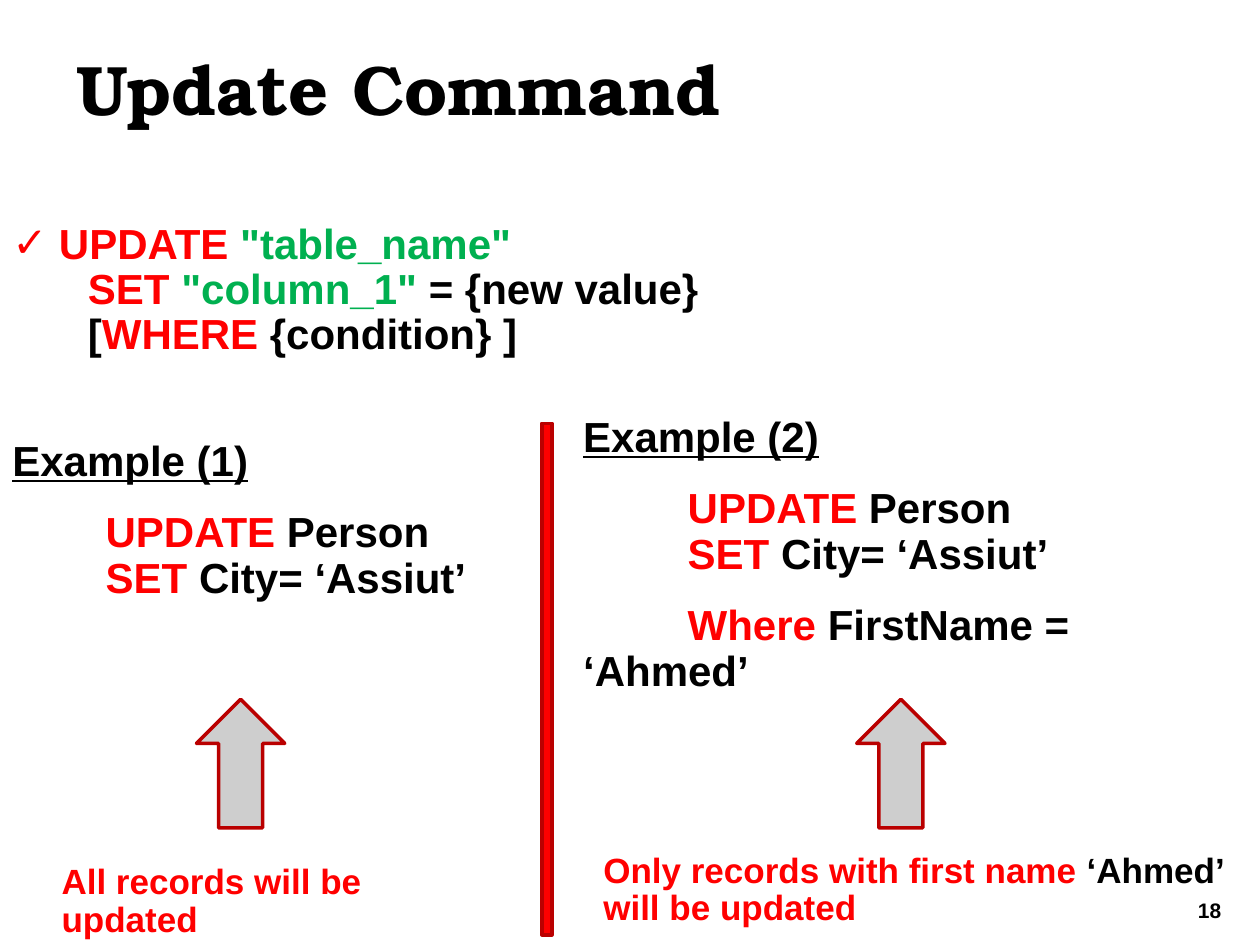
from pptx import Presentation
from pptx.dml.color import RGBColor
from pptx.enum.shapes import MSO_SHAPE
from pptx.enum.text import MSO_ANCHOR, MSO_AUTO_SIZE, PP_ALIGN
from pptx.util import Inches, Pt
from lxml import etree

TOP, MIDDLE = MSO_ANCHOR.TOP, MSO_ANCHOR.MIDDLE
LEFT, CENTER = PP_ALIGN.LEFT, PP_ALIGN.CENTER
NO_AUTOFIT = MSO_AUTO_SIZE.NONE
RECTANGLE, UP_ARROW = MSO_SHAPE.RECTANGLE, MSO_SHAPE.UP_ARROW
BLACK, RED, GREEN = "000000", "FF0000", "00B050"
BULLET_RED, DARK_RED, GREY = "FD0000", "BA0000", "CECECE"
A = "http://schemas.openxmlformats.org/drawingml/2006/main"


def rgb(value):
    return RGBColor.from_string(value)


def write(s, paragraphs, size, before, font="Arial", anchor=TOP, align=LEFT):
    """Each paragraph is (left margin, first-line indent, [(text, colour), ...])."""
    tf = s.text_frame
    tf.word_wrap = True
    tf.auto_size = NO_AUTOFIT
    tf.vertical_anchor = anchor
    for i, (margin, indent, runs) in enumerate(paragraphs):
        p = tf.paragraphs[0] if i == 0 else tf.add_paragraph()
        p.alignment = align
        p.line_spacing = 0.9
        p.space_before = Pt(before)
        pPr = p._p.get_or_add_pPr()
        pPr.set("marL", str(Inches(margin)))
        pPr.set("indent", str(Inches(indent)))
        for text, color in runs:
            if text == "\n":
                p.add_line_break()
                continue
            r = p.add_run()
            r.text = text
            r.font.name = font
            r.font.size = Pt(size)
            r.font.bold = True
            r.font.color.rgb = rgb(color)
    return tf


prs = Presentation()
prs.slide_width, prs.slide_height = Inches(10), Inches(7.5)
slide = prs.slides.add_slide(prs.slide_layouts[5])
shapes = slide.shapes
BREAK = ("\n", BLACK)

# Title
title = shapes.title
title.left, title.top = Inches(0.51), Inches(0.39)
title.width, title.height = Inches(9.49), Inches(0.7)
write(title, [(0, 0, [("Update Command", BLACK)])], 40, 25, font="TeX Gyre Bonum")

# Slide number
number = shapes.add_textbox(Inches(9.35), Inches(7.1), Inches(0.5), Inches(0.28))
write(number, [(0, 0, [("18", BLACK)])], 12, 7.5, align=CENTER)

# Syntax of the command
syntax = shapes.add_textbox(Inches(0), Inches(1.72), Inches(10), Inches(1.75))
tf = write(syntax, [
    (0.37, -0.37, [("UPDATE ", RED), ('"table_name"', GREEN)]),
    (0.6, 0, [("SET ", RED), ('"column_1" ', GREEN), ("= {new value}", BLACK), BREAK,
              ("[", BLACK), ("WHERE", RED), (" {condition} ]", BLACK)]),
], 24, 15)
tf.paragraphs[1].space_before = Pt(0)
pPr = tf.paragraphs[0]._p.get_or_add_pPr()
bullet_color = etree.SubElement(pPr, f"{{{A}}}buClr")
etree.SubElement(bullet_color, f"{{{A}}}srgbClr", val=BULLET_RED)
etree.SubElement(pPr, f"{{{A}}}buFont", typeface="Arial")
etree.SubElement(pPr, f"{{{A}}}buChar", char="✓")

# Examples
where = [("Where", RED), (" FirstName = ‘Ahmed’", BLACK)]
examples = [
    ("Example (1)", (0, 3.44, 3.91, 1.39), 0.74, []),
    ("Example (2)", (4.53, 3.25, 5.39, 2.32), 0.83, [(0, 0.83, where)]),
]
for heading, box, indent, condition in examples:
    example = shapes.add_textbox(*map(Inches, box))
    update = [("UPDATE", RED), (" Person", BLACK), BREAK,
              ("SET", RED), (" City= ‘Assiut’", BLACK)]
    tf = write(example, [(0, 0, [(heading, BLACK)]), (indent, 0, update)] + condition,
               24, 15, anchor=MIDDLE)
    tf.paragraphs[0].runs[0].font.underline = True

# Results of the examples
results = [
    ((0.39, 6.81, 3.36, 0.7), [("All records will be updated", RED)]),
    ((4.69, 6.72, 5.63, 0.7), [("Only records with first name ", RED),
                               ("‘Ahmed’ ", BLACK), ("will be updated", RED)]),
]
for box, runs in results:
    result = shapes.add_textbox(*map(Inches, box))
    write(result, [(0, 0, runs)], 20, 12.5)

# Divider and arrows
for kind, box, fill in [
    (RECTANGLE, (4.3, 3.36, 0.08, 4.06), BULLET_RED),
    (UP_ARROW, (1.56, 5.55, 0.7, 1.02), GREY),
    (UP_ARROW, (6.8, 5.55, 0.7, 1.02), GREY),
]:
    s = shapes.add_shape(kind, *map(Inches, box))
    s.shadow.inherit = False
    s.fill.solid()
    s.fill.fore_color.rgb = rgb(fill)
    s.line.color.rgb = rgb(DARK_RED)
    s.line.width = Pt(2)

prs.save("out.pptx")
